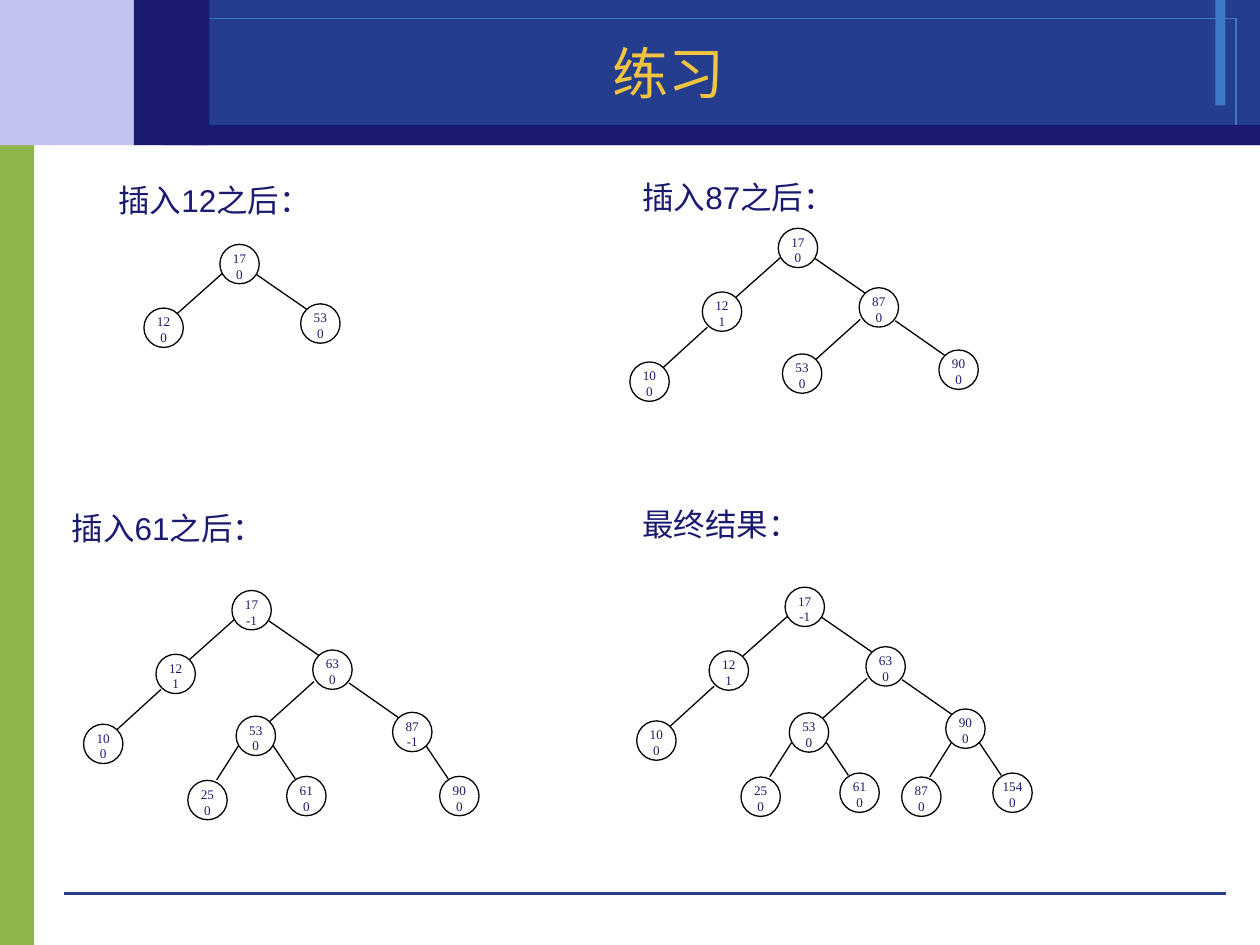
from collections import namedtuple
from dataclasses import dataclass

from lxml.etree import SubElement
from pptx import Presentation
from pptx.dml.color import RGBColor
from pptx.enum.shapes import MSO_CONNECTOR, MSO_SHAPE
from pptx.enum.text import MSO_ANCHOR, MSO_AUTO_SIZE, PP_ALIGN
from pptx.oxml.ns import qn
from pptx.util import Pt

Box = namedtuple("Box", "left top width height")
Slot = namedtuple("Slot", "parent center edge_start edge_end")


@dataclass(frozen=True)
class Theme:
    navy: str = "1A1A70"
    blue: str = "243D8C"
    sky: str = "3E78C6"
    lavender: str = "C3C3F1"
    green: str = "90B54D"
    gold: str = "F3C43F"
    black: str = "000000"
    title_font: str = "DejaVu Sans"
    label_font: str = "Arial"
    node_font: str = "Times New Roman"
    title_size: float = 32
    label_size: float = 18
    node_size: float = 7.5
    hairline: float = 0
    tree_line: float = 0.75


THEME = Theme()
NODE_SIZE = 22.5

SLOTS = {
    "root": Slot(None, (0, 0), None, None),
    "L": Slot("root", (-43.4, 36.4), (-9.9, 5.4), (8, -8.3)),
    "R": Slot("root", (46.2, 34), (9.7, 6), (-8, -8.3)),
    "LL": Slot("L", (-84.8, 76.4), (-8.4, 8.9), (8, -8.3)),
    "RL": Slot("R", (2.4, 71.8), (-10.6, 6.8), (8, -8.3)),
    "RR": Slot("R", (91.8, 69.6), (9.4, 7.6), (-8, -8.3)),
    "RLL": Slot("RL", (-25.2, 108.5), (-10, 5.8), (5.2, -11.5)),
    "RLR": Slot("RL", (31.3, 106.2), (10, 5.8), (-6.4, -9.9)),
    "RRL": Slot("RR", (66.6, 108.5), (-7.8, 7.6), (4.8, -11.3)),
    "RRR": Slot("RR", (118.7, 106.2), (7.8, 7.8), (-6.4, -9.9)),
}

PANELS = [
    ("插入12之后：", (60.5, 100), (76.4, 50.9),
     {"root": (17, 0), "L": (12, 0), "R": (53, 0)}),
    ("插入87之后：", (360, 98), (96, 43.7),
     {"root": (17, 0), "L": (12, 1), "R": (87, 0), "LL": (10, 0),
      "RL": (53, 0), "RR": (90, 0)}),
    ("插入61之后：", (33.8, 287.3), (110, 61.4),
     {"root": (17, -1), "L": (12, 1), "R": (63, 0), "LL": (10, 0),
      "RL": (53, 0), "RR": (87, -1), "RLL": (25, 0), "RLR": (61, 0),
      "RRR": (90, 0)}),
    ("最终结果：", (360, 285.2), (99.9, 61.6),
     {"root": (17, -1), "L": (12, 1), "R": (63, 0), "LL": (10, 0),
      "RL": (53, 0), "RR": (90, 0), "RLL": (25, 0), "RLR": (61, 0),
      "RRL": (87, 0), "RRR": (154, 0)}),
]


def color(value):
    return RGBColor.from_string(value)


def shift(point, offset):
    return point[0] + offset[0], point[1] + offset[1]


def write_text(frame, text, *, font, size, ink, align=PP_ALIGN.LEFT,
               anchor=MSO_ANCHOR.TOP):
    frame.word_wrap = True
    frame.vertical_anchor = anchor
    frame.text = text
    for paragraph in frame.paragraphs:
        paragraph.alignment = align
        paragraph.font.name = font
        paragraph.font.size = Pt(size)
        paragraph.font.color.rgb = color(ink)


def add_text(shapes, box, text, **text_format):
    text_box = shapes.add_textbox(*map(Pt, box))
    write_text(text_box.text_frame, text, **text_format)
    return text_box


def add_outline(shapes, kind, box, *, fill=None, line=None, width=0):
    shape = shapes.add_shape(kind, *map(Pt, box))
    shape.shadow.inherit = False
    if fill:
        shape.fill.solid()
        shape.fill.fore_color.rgb = color(fill)
    else:
        shape.fill.background()
    if line:
        shape.line.color.rgb = color(line)
        shape.line.width = Pt(width)
    else:
        shape.line.fill.background()
    return shape


def add_line(shapes, start, end, ink, width):
    connector = shapes.add_connector(
        MSO_CONNECTOR.STRAIGHT, *map(Pt, (*start, *end)))
    connector.line.color.rgb = color(ink)
    connector.line.width = Pt(width)
    SubElement(connector._element.spPr, qn("a:effectLst"))


def add_backdrop(slide, box):
    left, top, width, height = box
    right = left + width
    header = 83
    shapes = slide.shapes
    bars = [
        (Box(left, top + 77, 19.6, height - 77), THEME.green),
        (Box(left, top, 110, header), THEME.lavender),
        (Box(left + 110, top, width - 110, header), THEME.blue),
        (Box(right - 25.5, top, 5.7, 60.2), THEME.sky),
    ]
    for bar, fill in bars:
        add_outline(shapes, MSO_SHAPE.RECTANGLE, bar, fill=fill)
    add_outline(shapes, MSO_SHAPE.RECTANGLE,
                Box(left + 85.7, top + 10.5, 620.6, 61.2),
                line=THEME.sky, width=THEME.hairline)
    rule = top + 510.5
    add_line(shapes, (left + 36.7, rule), (right - 19.4, rule),
             THEME.blue, THEME.hairline)
    navy_bars = [
        Box(left + 93.6, top + 71.4, width - 93.6, header - 71.4),
        Box(left + 76.5, top, 43.2, header),
    ]
    for bar in navy_bars:
        add_outline(shapes, MSO_SHAPE.RECTANGLE, bar, fill=THEME.navy)


def add_node(shapes, center, lines):
    half = NODE_SIZE / 2
    box = Box(center[0] - half, center[1] - half, NODE_SIZE, NODE_SIZE)
    node = add_outline(shapes, MSO_SHAPE.OVAL, box,
                       line=THEME.black, width=THEME.tree_line)
    frame = node.text_frame
    frame.margin_left = frame.margin_right = Pt(0)
    frame.margin_top = frame.margin_bottom = Pt(0)
    write_text(frame, "\n".join(map(str, lines)), font=THEME.node_font,
               size=THEME.node_size, ink=THEME.navy, align=PP_ALIGN.CENTER)


def add_tree(slide, root, nodes):
    shapes = slide.shapes.add_group_shape().shapes
    for name, lines in nodes.items():
        slot = SLOTS[name]
        center = shift(root, slot.center)
        add_node(shapes, center, lines)
        if slot.parent:
            parent = shift(root, SLOTS[slot.parent].center)
            add_line(shapes, shift(parent, slot.edge_start),
                     shift(center, slot.edge_end),
                     THEME.black, THEME.tree_line)


def add_panel(slide, box, label, root_offset, nodes):
    add_tree(slide, shift((box.left, box.top), root_offset), nodes)
    text_box = add_text(slide.shapes, box, label, font=THEME.label_font,
                        size=THEME.label_size, ink=THEME.navy)
    text_box.text_frame.auto_size = MSO_AUTO_SIZE.SHAPE_TO_FIT_TEXT


def main():
    presentation = Presentation()
    presentation.slide_width = Pt(720)
    presentation.slide_height = Pt(540)
    slide = presentation.slides.add_slide(presentation.slide_layouts[6])
    add_backdrop(slide, Box(0, 0, 720, 540))
    add_text(slide.shapes, Box(85.7, 18.7, 592.6, 44.6), "练习",
             font=THEME.title_font, size=THEME.title_size, ink=THEME.gold,
             align=PP_ALIGN.CENTER, anchor=MSO_ANCHOR.MIDDLE)
    for label, corner, root_offset, nodes in PANELS:
        add_panel(slide, Box(*corner, 118.8, 28.8), label, root_offset, nodes)
    presentation.save("out.pptx")


if __name__ == "__main__":
    main()
